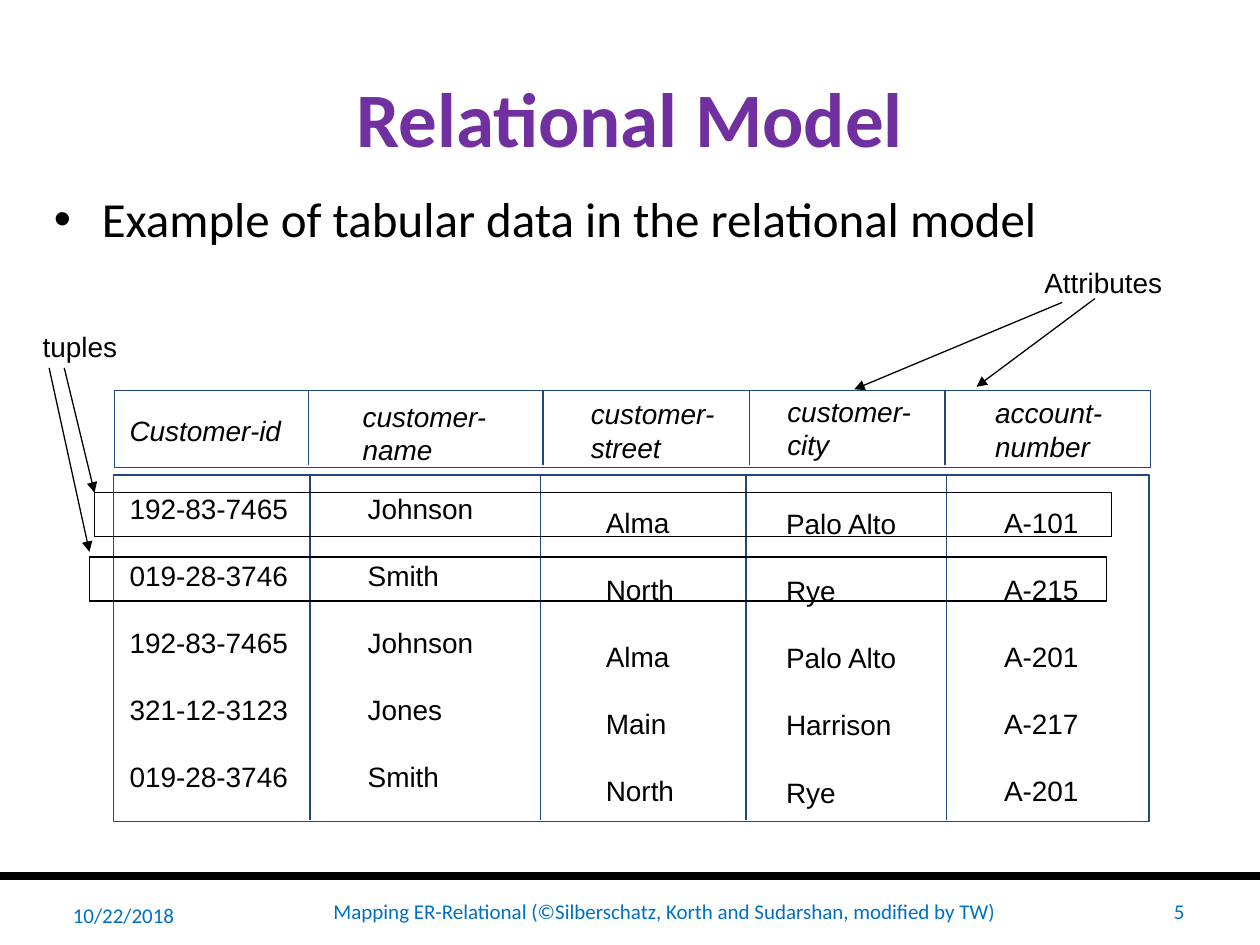
from lxml import etree
from pptx import Presentation
from pptx.dml.color import RGBColor
from pptx.enum import shapes, text
from pptx.oxml import ns
from pptx.util import Inches, Pt

COLORS = {"black": "000000", "white": "FFFFFF", "navy": "1F497D",
          "purple": "7030A0", "blue": "0070C0"}
LEFT, CENTER, RIGHT = text.PP_ALIGN.LEFT, text.PP_ALIGN.CENTER, text.PP_ALIGN.RIGHT
LINE_PITCH = 19.2  # points from one line of table text to the next

# heading lines, heading box, values, values box
COLUMNS = [
    (["Customer-id"], (0.93, 3.23, 1.51, 0.37),
     ["192-83-7465", "019-28-3746", "192-83-7465", "321-12-3123", "019-28-3746"],
     (0.93, 3.85, 1.46, 2.51)),
    (["customer-", "name"], (2.78, 3.12, 1.19, 0.64),
     ["Johnson", "Smith", "Johnson", "Jones", "Smith"], (2.82, 3.85, 1.04, 2.51)),
    (["customer-", "street"], (4.59, 3.1, 1.19, 0.64),
     ["Alma", "North", "Alma", "Main", "North"], (4.71, 3.96, 0.74, 2.51)),
    (["customer-", "city"], (6.15, 3.08, 1.19, 0.64),
     ["Palo Alto", "Rye", "Palo Alto", "Harrison", "Rye"], (6.14, 3.97, 1.09, 2.51)),
    (["account-", "number"], (7.8, 3.09, 1.05, 0.64),
     ["A-101", "A-215", "A-201", "A-217", "A-201"], (7.87, 3.96, 0.79, 2.51)),
]
# frame, divider positions, divider top and bottom
TABLE_PARTS = [
    ((0.91, 3.1, 8.22, 0.61), (2.45, 4.31, 5.95, 7.5), (3.1, 3.69)),
    ((0.9, 3.77, 8.22, 2.75), (2.46, 4.29, 5.92, 7.51), (3.78, 6.51)),
]
TUPLE_FRAMES = [(0.75, 3.91, 8.07, 0.35), (0.71, 4.42, 8.07, 0.35)]
LABELS = [("Attributes", (8.19, 2.06, 1.14, 0.37)), ("tuples", (0.24, 2.57, 0.79, 0.37))]
ARROWS = [((8.69, 2.37), (7.75, 3.07)), ((8.43, 2.4), (6.78, 3.09)),
          ((0.51, 2.92), (0.75, 3.91)), ((0.39, 2.92), (0.71, 4.38))]
FOOTERS = [
    ("10/22/2018", (0.39, 7.03, 1.09, 0.47), RIGHT),
    ("5", (9.06, 7.03, 0.44, 0.4), RIGHT),
    ("Mapping ER-Relational (©Silberschatz, Korth and Sudarshan, modified by TW)",
     (1.64, 7.03, 7.27, 0.4), CENTER),
]


def rgb(name):
    return RGBColor.from_string(COLORS[name])


def add_text(page, lines, place, size, font, color="black", align=LEFT,
             middle=False, wrap=True, bold=False, italic=False):
    box = page.shapes.add_textbox(*map(Inches, place))
    frame = box.text_frame
    frame.text = "\n".join(lines)
    frame.word_wrap = wrap
    if middle:
        frame.vertical_anchor = text.MSO_ANCHOR.MIDDLE
    for para in frame.paragraphs:
        para.alignment = align
        for span in para.runs:
            span.font.size, span.font.name = Pt(size), font
            span.font.bold, span.font.italic = bold, italic
            span.font.color.rgb = rgb(color)
    return frame


def add_table_text(page, lines, place, wrap=False, italic=False, gap=0):
    frame = add_text(page, lines, place, 16, "Arial", wrap=wrap, italic=italic)
    for index, para in enumerate(frame.paragraphs):
        para.line_spacing = Pt(LINE_PITCH)
        para.space_before = Pt(gap if index else 0)


def add_frame(page, place, color, fill=None):
    frame = page.shapes.add_shape(shapes.MSO_SHAPE.RECTANGLE, *map(Inches, place))
    frame.shadow.inherit = False
    if fill:
        frame.fill.solid()
        frame.fill.fore_color.rgb = rgb(fill)
    else:
        frame.fill.background()
    frame.line.color.rgb = rgb(color)
    frame.line.width = Pt(0.75)


def add_line(page, start, end, color="black", width=0.75, arrow=False):
    line = page.shapes.add_connector(shapes.MSO_CONNECTOR.STRAIGHT,
                                     *map(Inches, start + end))
    line.line.color.rgb = rgb(color)
    line.line.width = Pt(width)
    if arrow:
        etree.SubElement(line.line._get_or_add_ln(), ns.qn("a:tailEnd"), type="triangle")
    etree.SubElement(line._element.spPr, ns.qn("a:effectLst"))


def add_bullet(para, indent):
    props = para._p.get_or_add_pPr()
    props.set("marL", str(Inches(indent)))
    props.set("indent", str(-Inches(indent)))
    etree.SubElement(props, ns.qn("a:buFont"), typeface="Arial")
    etree.SubElement(props, ns.qn("a:buChar"), char="•")


def main():
    deck = Presentation()
    deck.slide_width, deck.slide_height = Inches(10), Inches(7.5)
    page = deck.slides.add_slide(deck.slide_layouts[6])

    add_line(page, (0, 6.95), (10, 6.95), width=4.5)
    add_text(page, ["Relational Model"], (0.5, 0.3, 9, 1.25), 44, "Calibri", "purple",
             CENTER, middle=True, bold=True)
    body = add_text(page, ["Example of tabular data in the relational model"],
                    (0.33, 1.5, 9, 0.69), 28, "Calibri").paragraphs[0]
    body.line_spacing, body.space_before = 0.9, Pt(5.6)
    add_bullet(body, 0.38)

    for frame, dividers, (top, bottom) in TABLE_PARTS:
        add_frame(page, frame, "navy", "white")
        for x in dividers:
            add_line(page, (x, top), (x, bottom), "navy")
    for heading, heading_place, values, values_place in COLUMNS:
        add_table_text(page, heading, heading_place, wrap=len(heading) == 1, italic=True)
        add_table_text(page, values, values_place, gap=LINE_PITCH)

    for label, place in LABELS:
        add_table_text(page, [label], place)
    for place in TUPLE_FRAMES:
        add_frame(page, place, "black")
    for start, end in ARROWS:
        add_line(page, start, end, arrow=True)
    for words, place, align in FOOTERS:
        add_text(page, [words], place, 12, "Calibri", "blue", align, middle=True)

    deck.save("out.pptx")


if __name__ == "__main__":
    main()
